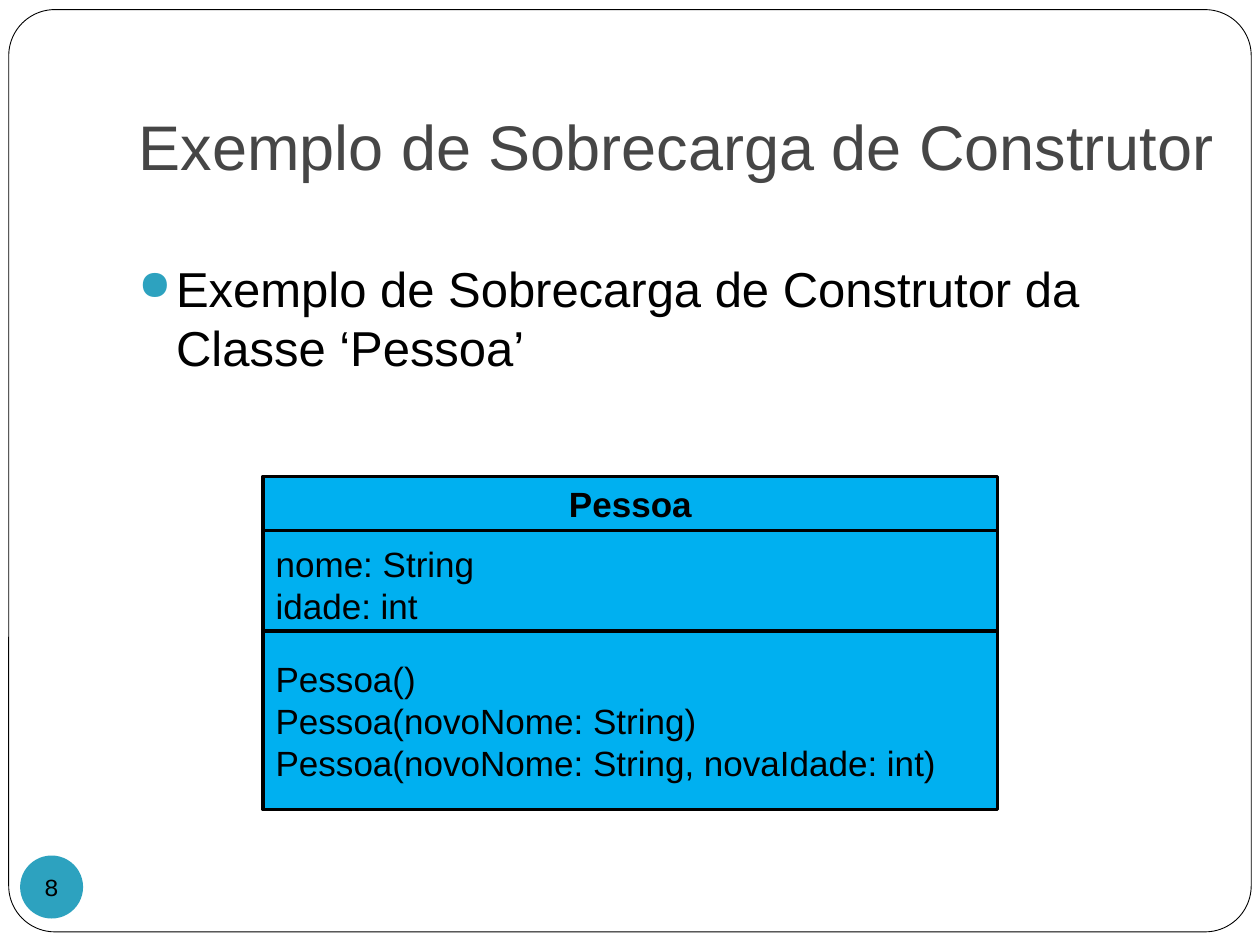
import pptx
import pptx.dml.color
import pptx.enum.shapes
import pptx.enum.text
import pptx.oxml
import pptx.oxml.ns
import pptx.util

Pt = pptx.util.Pt
RGB = pptx.dml.color.RGBColor.from_string
SHAPE = pptx.enum.shapes.MSO_SHAPE
ALIGN = pptx.enum.text.PP_ALIGN
ANCHOR = pptx.enum.text.MSO_ANCHOR

THEME = {
    "font": "Arial", "number_font": "Courier New",
    "white": "FFFFFF", "black": "000000", "title": "464646",
    "accent": "2DA2BF", "class_fill": "00B0F0",
    "title_size": 36, "body_size": 28, "class_size": 20, "number_size": 14,
}


def add_box(shapes, kind, box, fill, line_width=0):
    sp = shapes.add_shape(kind, *[Pt(v) for v in box])
    sp.shadow.inherit = False
    sp.fill.solid()
    sp.fill.fore_color.rgb = RGB(THEME[fill])
    if line_width:
        sp.line.color.rgb = RGB(THEME["black"])
        sp.line.width = Pt(line_width)
    else:
        sp.line.fill.background()
    return sp


def write(sp, lines, size, color="black", font="font", bold=False,
          align=ALIGN.LEFT, **frame):
    """Fill the text frame, one paragraph a line; frame holds its settings."""
    tf = sp.text_frame
    settings = {"word_wrap": True, "vertical_anchor": ANCHOR.MIDDLE, **frame}
    for name, value in settings.items():
        setattr(tf, name, value)
    for i, line in enumerate(lines):
        p = tf.add_paragraph() if i else tf.paragraphs[0]
        p.alignment = align
        r = p.add_run()
        r.text = line
        style = {"name": THEME[font], "size": Pt(THEME[size]), "bold": bold}
        for name, value in style.items():
            setattr(r.font, name, value)
        r.font.color.rgb = RGB(THEME[color])


prs = pptx.Presentation()
prs.slide_width, prs.slide_height = Pt(720), Pt(540)
s = prs.slides.add_slide(prs.slide_layouts[5])

# Rounded frame, behind the title
frame = add_box(s.shapes, SHAPE.ROUNDED_RECTANGLE, (5, 5.5, 710, 527), "white", 0.5)
frame.adjustments[0] = 0.05
s.shapes._spTree.insert(2, frame._element)

# Title
title = s.shapes.title
place = {"left": 72, "top": 21.6, "width": 639.4, "height": 90}
for name, value in place.items():
    setattr(title, name, Pt(value))
write(title, ["Exemplo de Sobrecarga de Construtor"], "title_size", "title",
      vertical_anchor=ANCHOR.BOTTOM, margin_bottom=Pt(7.2),
      auto_size=pptx.enum.text.MSO_AUTO_SIZE.NONE)

# Bulleted body text
body = s.shapes.add_textbox(Pt(72), Pt(113.8), Pt(612), Pt(360))
write(body, ["Exemplo de Sobrecarga de Construtor da Classe ‘Pessoa’"], "body_size",
      vertical_anchor=ANCHOR.TOP, margin_top=Pt(34))
pPr = body.text_frame.paragraphs[0]._p.get_or_add_pPr()
pPr.set("marL", str(Pt(21.6)))
pPr.set("indent", str(-Pt(21.6)))
ns = pptx.oxml.ns.nsdecls("a")
for xml in (
    f'<a:buClr {ns}><a:srgbClr val="{THEME["accent"]}"/></a:buClr>',
    f'<a:buSzPct {ns} val="85000"/>',
    f'<a:buChar {ns} char="●"/>',
):
    pPr.append(pptx.oxml.parse_xml(xml))

# Slide number
number = add_box(s.shapes, SHAPE.OVAL, (11.5, 488.9, 36, 36), "accent")
margins = {f"margin_{side}": 0 for side in ("left", "top", "right", "bottom")}
write(number, ["8"], "number_size", font="number_font", align=ALIGN.CENTER,
      **{**margins, "word_wrap": False})

# Class diagram: name, attributes, constructors
compartments = [
    (272.2, 31, ["Pessoa"], {"bold": True, "align": ALIGN.CENTER}),
    (303.2, 62, ["nome: String", "idade: int"], {}),
    (360.7, 102, ["Pessoa()", "Pessoa(novoNome: String)",
                  "Pessoa(novoNome: String, novaIdade: int)"], {}),
]
diagram = s.shapes.add_group_shape()
for top, height, lines, style in compartments:
    sp = add_box(diagram.shapes, SHAPE.RECTANGLE, (150.4, top, 419.6, height),
                 "class_fill", 2)
    write(sp, lines, "class_size", **style)

prs.save("out.pptx")
